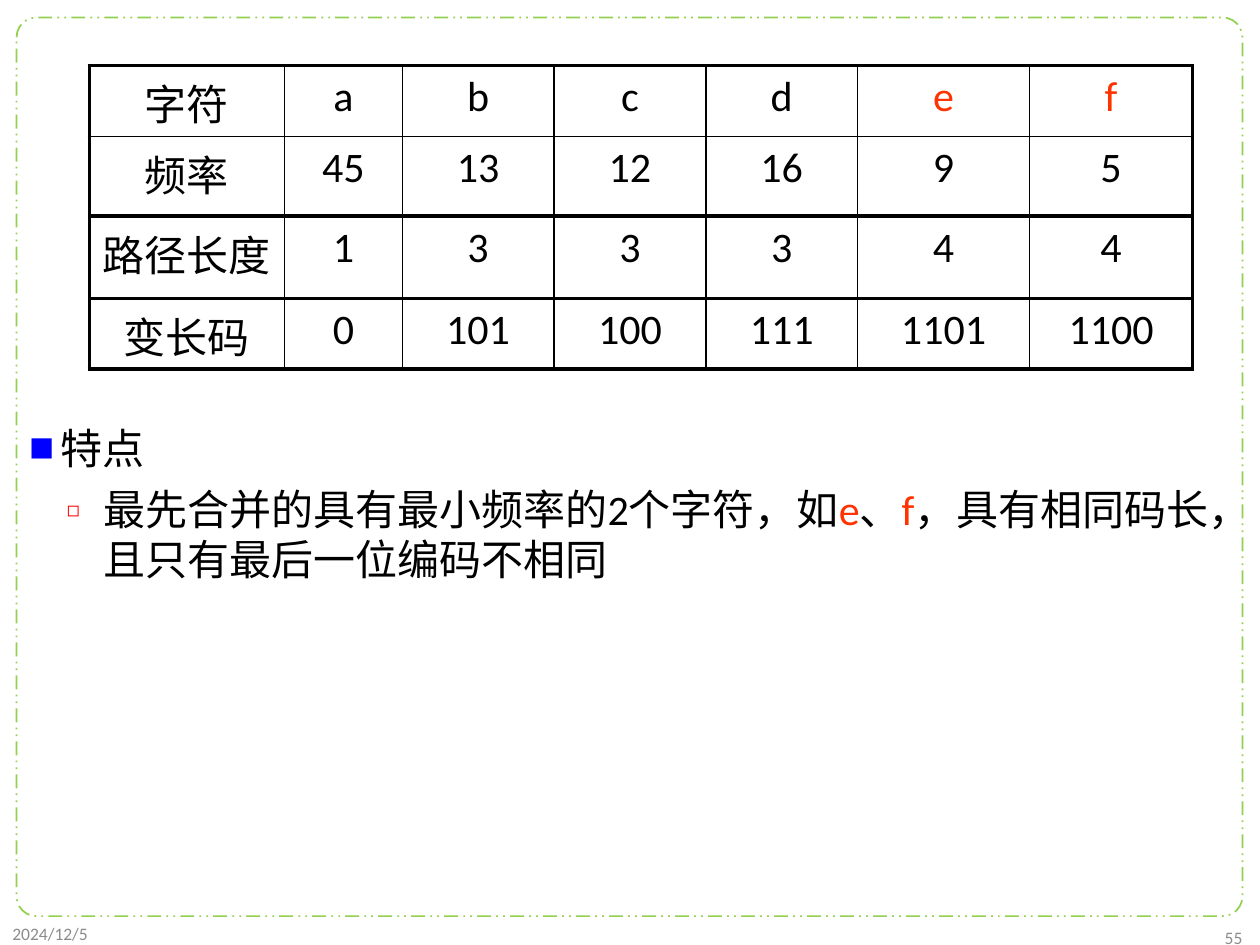
import pptx
import pptx.util
import pptx.dml.color
import pptx.enum.dml
import pptx.enum.shapes
import pptx.enum.text
import pptx.oxml
import pptx.oxml.ns

Pt = pptx.util.Pt
Align = pptx.enum.text.PP_ALIGN
Anchor = pptx.enum.text.MSO_ANCHOR

HUES = {"text": "000000", "mark": "FF3300", "frame": "92D050",
        "blue": "0000FF", "red": "FF0000", "grey": "8C8C8C"}
LATIN, HAN = "Calibri", "Noto Sans CJK SC"
THIN, THICK = 1, 2.25

ROWS = [["字符", "a", "b", "c", "d", "e", "f"],
        ["频率", "45", "13", "12", "16", "9", "5"],
        ["路径长度", "1", "3", "3", "3", "4", "4"],
        ["变长码", "0", "101", "100", "111", "1101", "1100"]]


class Deck:
    def __init__(self, wide, high):
        self.file = pptx.Presentation()
        self.file.slide_width, self.file.slide_height = Pt(wide), Pt(high)
        self.slide = self.file.slides.add_slide(self.file.slide_layouts[1])
        title = self.slide.shapes.title
        title.element.getparent().remove(title.element)

    def paint(self, font, hue):
        font.color.rgb = pptx.dml.color.RGBColor.from_string(HUES[hue])

    def style(self, para, size, hue=None, face=LATIN):
        para.font.size, para.font.name = Pt(size), face
        if hue:
            self.paint(para.font, hue)

    def xml(self, text):
        space = pptx.oxml.ns.nsdecls("a")
        return pptx.oxml.parse_xml(text.replace(" ", f" {space} ", 1))

    def frame(self, left, top, wide, high, adj):
        box = self.slide.shapes.add_shape(
            pptx.enum.shapes.MSO_SHAPE.ROUNDED_RECTANGLE,
            Pt(left), Pt(top), Pt(wide), Pt(high))
        box.adjustments[0] = adj
        box.shadow.inherit = False
        box.fill.background()
        box.line.width = Pt(1)
        box.line.dash_style = pptx.enum.dml.MSO_LINE.DASH_DOT_DOT
        self.paint(box.line, "frame")

    def body(self, left, top, wide, high, inset):
        box = self.slide.placeholders[1]
        box.left, box.top, box.width, box.height = map(Pt, (left, top, wide, high))
        frame = box.text_frame
        frame.auto_size = pptx.enum.text.MSO_AUTO_SIZE.NONE
        frame.vertical_anchor = Anchor.TOP
        frame.margin_top = Pt(inset)
        return frame

    def bullet(self, para, runs, level, indent, hang, mark, face=LATIN):
        char, hue, scale = mark
        para.level = level
        para.line_spacing = 1.0
        para.space_before = Pt(6 if level else 0)
        props = para._p.get_or_add_pPr()
        props.set("marL", str(Pt(indent)))
        props.set("indent", str(-Pt(hang)))
        for text in (f'<a:buClr ><a:srgbClr val="{HUES[hue]}"/></a:buClr>',
                     f'<a:buSzPct val="{scale * 1000}"/>',
                     f'<a:buFont typeface="{HAN}"/>',
                     f'<a:buChar char="{char}"/>'):
            props.append(self.xml(text))
        self.style(para, 24, face=face)
        for text, hue in runs:
            run = para.add_run()
            run.text = text
            self.paint(run.font, hue)

    def label(self, text, left, top, wide, high, align):
        box = self.slide.shapes.add_textbox(Pt(left), Pt(top), Pt(wide), Pt(high))
        frame = box.text_frame
        frame.word_wrap = True
        frame.vertical_anchor = Anchor.MIDDLE
        para = frame.paragraphs[0]
        para.text, para.alignment = text, align
        self.style(para, 10, "grey")

    def cell(self, cell, text, hue, edges):
        para = cell.text_frame.paragraphs[0]
        para.text, para.alignment = text, Align.CENTER
        self.style(para, 24, hue)
        props = cell._tc.get_or_add_tcPr()
        for side, width in zip("LRTB", edges):
            props.append(self.xml(
                f'<a:ln{side} w="{Pt(width)}"><a:solidFill>'
                f'<a:srgbClr val="{HUES["text"]}"/></a:solidFill></a:ln{side}>'))
        cell.fill.background()

    def table(self, left, top, cols, highs, rows, marked):
        grid = self.slide.shapes.add_table(
            len(rows), len(cols), Pt(left), Pt(top),
            Pt(sum(cols)), Pt(sum(highs))).table
        grid.first_row = grid.horz_banding = False
        for col, wide in zip(grid.columns, cols):
            col.width = Pt(wide)
        for row, high in zip(grid.rows, highs):
            row.height = Pt(high)
        # Outer edges and row rules are thick, save the one below the header
        sides = [THICK] + [THIN] * (len(cols) - 1) + [THICK]
        rules = [THICK, THIN] + [THICK] * (len(rows) - 1)
        for i, row in enumerate(rows):
            for j, text in enumerate(row):
                hue = "mark" if text in marked else "text"
                self.cell(grid.cell(i, j), text, hue,
                          sides[j:j + 2] + rules[i:i + 2])


def main():
    deck = Deck(720, 540)

    # Border and list
    deck.frame(9.5, 10, 700.5, 513.5, 0.022)
    frame = deck.body(9.5, 13, 700.5, 510, 228.5)
    deck.bullet(frame.paragraphs[0], [("特点", "text")],
                0, 18, 18, ("■", "blue", 60), HAN)
    deck.bullet(frame.add_paragraph(),
                [("最先合并的具有最小频率的2个字符，如", "text"), ("e", "mark"),
                 ("、", "text"), ("f", "mark"),
                 ("，具有相同码长，且只有最后一位编码不相同", "text")],
                1, 42.5, 21, ("◻", "red", 50))

    # Date and page number
    deck.label("2024/12/5", 0, 523, 162, 21, Align.LEFT)
    deck.label("55", 555, 526.5, 162, 18.5, Align.RIGHT)

    # Code table
    deck.table(51, 37.5, [111.5, 67.5, 86.5, 87, 86.5, 98.5, 93],
               [40.5, 45.5, 47, 40.5], ROWS, ("e", "f"))

    deck.file.save("out.pptx")


if __name__ == "__main__":
    main()
